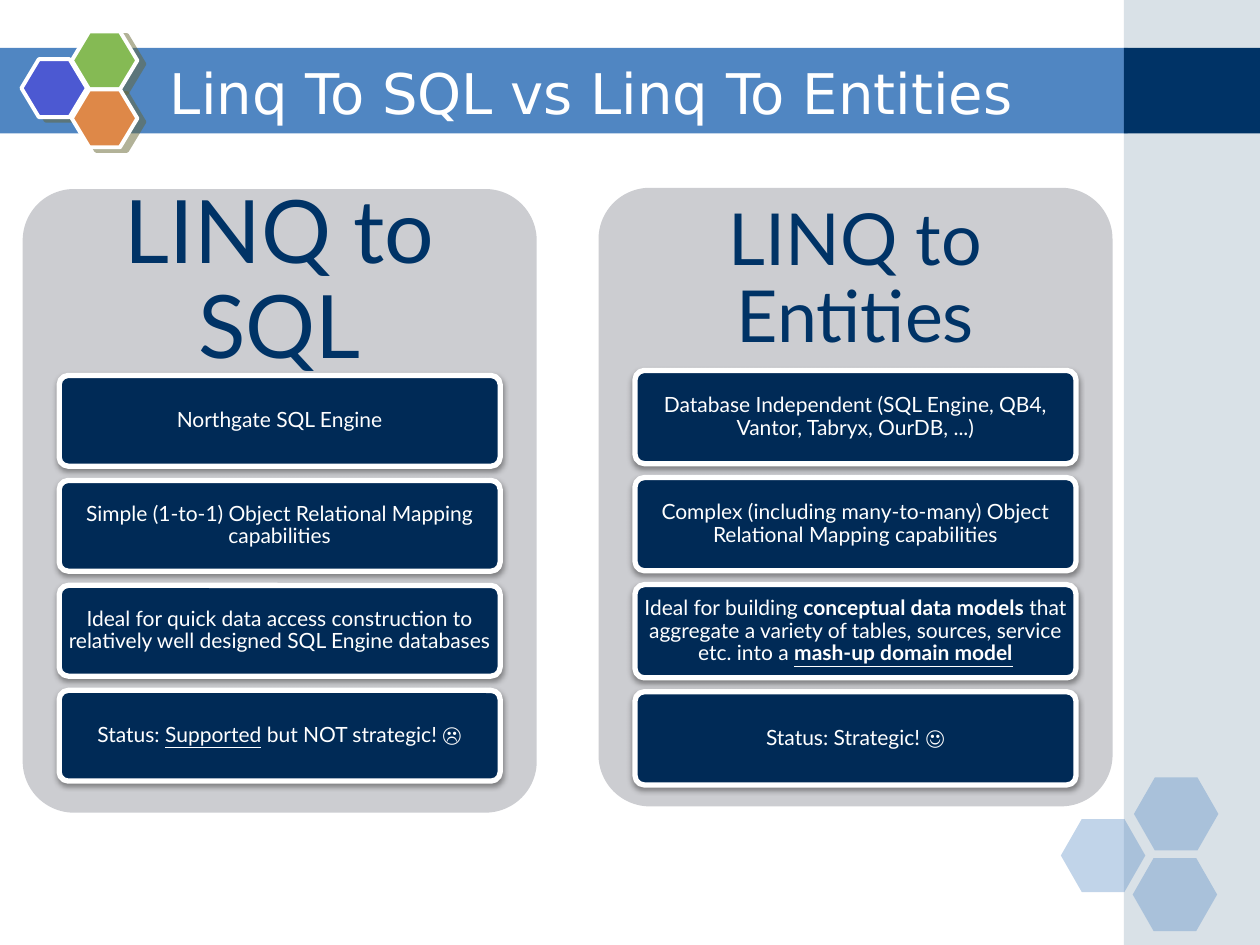
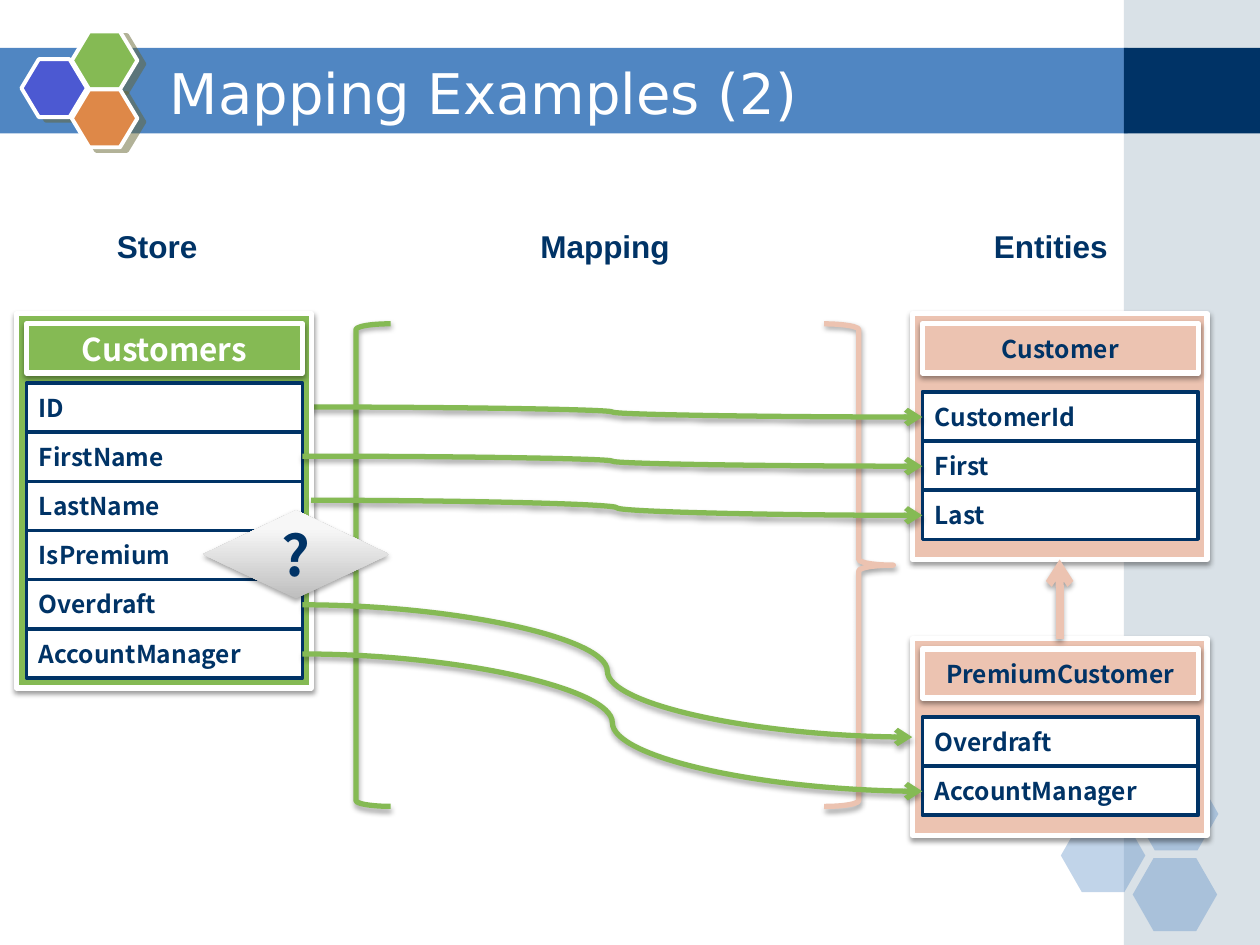
from dataclasses import dataclass
from typing import NamedTuple

from lxml.etree import SubElement
from pptx import Presentation
from pptx.dml.color import RGBColor
from pptx.enum.shapes import MSO_CONNECTOR, MSO_SHAPE
from pptx.enum.text import MSO_ANCHOR, PP_ALIGN
from pptx.oxml.ns import qn
from pptx.util import Inches, Pt

NAVY, WHITE, BLUE = "003366", "FFFFFF", "5086C2"
CARD, PANEL, SIDE = "002A56", "CCCDD1", "A0B5C4"
GREEN, PEACH, VIOLET, ORANGE = "85BA54", "ECC3B1", "4C59D2", "DE8848"
TITLE_FONT, PANEL_FONT, HEAD_FONT, TABLE_FONT = "DejaVu Sans", "Lato", "Arial", "Noto Sans CJK JP"
ROW_STEP, BOX_W = 0.39, 2.34


class Shadow(NamedTuple):
    """An outer shadow: opacity in percent, lengths in points, angle in degrees."""
    color: str
    opacity: int
    blur: float
    dist: float
    angle: int


class Run(NamedTuple):
    """A stretch of text with its emphasis."""
    text: str
    bold: bool = False
    underline: bool = False


BOX_SHADOW = Shadow("000000", 38, 3.1, 1.6, 90)
LINE_SHADOW = Shadow("000000", 35, 3.1, 1.8, 90)
HEX_SHADOW = Shadow("666633", 50, 0, 4.5, 27)


@dataclass
class ComparePanel:
    """A rounded panel with a heading and a stack of cards."""
    x: float
    y: float
    height: float
    heading: str
    size: int
    inset: float
    card_top: float
    card_height: float
    card_step: float
    cards: list[list[Run]]


@dataclass
class Entity:
    """A titled box with one row per field."""
    x: float
    y: float
    height: float
    name: str
    fields: list[str]
    color: str = PEACH
    text_color: str = NAVY
    size: int = 14
    first_row: float = 0.62


def rgb(color):
    """Turn a hex string into a colour."""
    return RGBColor.from_string(color)


def add_shadow(effects, shadow):
    """Put an outer shadow into an effect list."""
    outer = SubElement(effects, qn("a:outerShdw"), blurRad=str(Pt(shadow.blur)),
                       dist=str(Pt(shadow.dist)), dir=str(shadow.angle * 60000),
                       algn="ctr", rotWithShape="0")
    clr = SubElement(outer, qn("a:srgbClr"), val=shadow.color)
    SubElement(clr, qn("a:alpha"), val=str(shadow.opacity * 1000))


def add_shape(slide, kind, x, y, w, h, fill=None, alpha=None, line=None, width=3.0,
              shadow=None, adj=None):
    """Add a preset shape with its fill, outline and shadow."""
    s = slide.shapes.add_shape(kind, Inches(x), Inches(y), Inches(w), Inches(h))
    s.shadow.inherit = False
    if fill:
        s.fill.solid()
        s.fill.fore_color.rgb = rgb(fill)
    else:
        s.fill.background()
    if alpha:
        clr = s.element.spPr.find(qn("a:solidFill")).find(qn("a:srgbClr"))
        SubElement(clr, qn("a:alpha"), val=str(alpha * 1000))
    if line:
        s.line.color.rgb = rgb(line)
        s.line.width = Pt(width)
    else:
        s.line.fill.background()
    if shadow:
        add_shadow(s.element.spPr.find(qn("a:effectLst")), shadow)
    if adj:
        s.adjustments[0] = adj
    return s


def write(s, *runs, font, size, color=NAVY, bold=False, align=PP_ALIGN.LEFT,
          anchor=MSO_ANCHOR.MIDDLE, spacing=None, inset=None):
    """Write one paragraph of strings or runs into a shape."""
    tf = s.text_frame
    tf.word_wrap = True
    tf.vertical_anchor = anchor
    if inset is not None:
        tf.margin_left = tf.margin_right = tf.margin_top = tf.margin_bottom = Inches(inset)
    p = tf.paragraphs[0]
    p.alignment = align
    if spacing:
        p.line_spacing = spacing
    for run in runs:
        part = Run(run, bold) if isinstance(run, str) else run
        r = p.add_run()
        r.text = part.text
        r.font.name, r.font.size = font, Pt(size)
        r.font.bold, r.font.underline = part.bold, part.underline
        r.font.color.rgb = rgb(color)


def add_text(slide, x, y, w, h, *runs, **fmt):
    """Add a text box."""
    s = slide.shapes.add_textbox(Inches(x), Inches(y), Inches(w), Inches(h))
    write(s, *runs, **fmt)


def add_arrow(slide, start, end, color=GREEN, width=3.0, kind=MSO_CONNECTOR.CURVE):
    """Add a connector with an open arrowhead at its end."""
    c = slide.shapes.add_connector(kind, *(Inches(v) for v in (*start, *end)))
    c.line.color.rgb = rgb(color)
    c.line.width = Pt(width)
    spPr = c.element.spPr
    SubElement(spPr.find(qn("a:ln")), qn("a:tailEnd"), type="arrow")
    add_shadow(SubElement(spPr, qn("a:effectLst")), LINE_SHADOW)


def start_slide(prs, title):
    """Add a slide with the shared bands, hexagons and title."""
    slide = prs.slides.add_slide(prs.slide_layouts[6])
    add_shape(slide, MSO_SHAPE.RECTANGLE, 0, 0.38, 8.95, 0.68, BLUE)
    add_shape(slide, MSO_SHAPE.RECTANGLE, 8.92, 0, 1.08, 7.5, SIDE, alpha=40)
    add_shape(slide, MSO_SHAPE.RECTANGLE, 8.92, 0.38, 1.08, 0.68, NAVY)
    for x, y in ((8.42, 6.5), (9, 6.17), (8.99, 6.81)):
        add_shape(slide, MSO_SHAPE.HEXAGON, x, y, 0.67, 0.58, BLUE, alpha=35, adj=0.286)
    for x, y, color in ((0.17, 0.47, VIOLET), (0.57, 0.25, GREEN), (0.57, 0.71, ORANGE)):
        add_shape(slide, MSO_SHAPE.HEXAGON, x, y, 0.52, 0.46, color, line=WHITE, width=2.25,
                  shadow=HEX_SHADOW, adj=0.3)
    add_text(slide, 1.25, 0.42, 7.5, 0.62, title, font=TITLE_FONT, size=32, color=WHITE)
    return slide


def draw_panel(slide, panel):
    """Draw a comparison panel and its cards."""
    add_shape(slide, MSO_SHAPE.ROUNDED_RECTANGLE, panel.x, panel.y, 4.08, panel.height,
              PANEL, adj=0.1)
    add_text(slide, panel.x, panel.y, 4.08, panel.height * 0.3, panel.heading,
             font=PANEL_FONT, size=panel.size, align=PP_ALIGN.CENTER, spacing=0.9,
             inset=panel.inset)
    for i, runs in enumerate(panel.cards):
        s = add_shape(slide, MSO_SHAPE.ROUNDED_RECTANGLE, panel.x + 0.29,
                      panel.card_top + i * panel.card_step, 3.5, panel.card_height,
                      CARD, line=WHITE, shadow=BOX_SHADOW, adj=0.1)
        write(s, *runs, font=PANEL_FONT, size=12, color=WHITE, align=PP_ALIGN.CENTER,
              spacing=0.9, inset=0.03)


def draw_entity(slide, entity):
    """Draw an entity box: frame, name and field rows."""
    x, w = entity.x + 0.08, BOX_W - 0.15
    add_shape(slide, MSO_SHAPE.RECTANGLE, entity.x, entity.y, BOX_W, entity.height,
              entity.color, line=WHITE, shadow=BOX_SHADOW)
    s = add_shape(slide, MSO_SHAPE.RECTANGLE, x, entity.y + 0.08, w, ROW_STEP,
                  entity.color, line=WHITE, shadow=BOX_SHADOW)
    write(s, entity.name, font=TABLE_FONT, size=entity.size, color=entity.text_color,
          bold=True, align=PP_ALIGN.CENTER)
    for i, field in enumerate(entity.fields):
        s = add_shape(slide, MSO_SHAPE.RECTANGLE, x, entity.y + entity.first_row + i * ROW_STEP,
                      w, ROW_STEP, WHITE, line=NAVY, width=2)
        write(s, field, font=TABLE_FONT, size=14, bold=True)


def build_comparison(prs):
    """Build the slide that compares the two technologies."""
    slide = start_slide(prs, "Linq To SQL vs Linq To Entities")
    draw_panel(slide, ComparePanel(
        0.18, 1.5, 4.95, "LINQ to SQL", 50, 0.21, 2.98, 0.72, 0.833, [
            [Run("Northgate SQL Engine")],
            [Run("Simple (1-to-1) Object Relational Mapping capabilities")],
            [Run("Ideal for quick data access construction to relatively well designed "
                 "SQL Engine databases")],
            [Run("Status: "), Run("Supported", underline=True),
             Run(" but NOT strategic! \u2639")],
        ]))
    draw_panel(slide, ComparePanel(
        4.75, 1.49, 4.91, "LINQ to Entities", 41, 0.17, 2.94, 0.74, 0.85, [
            [Run("Database Independent (SQL Engine, QB4, Vantor, Tabryx, OurDB, ...)")],
            [Run("Complex (including many-to-many) Object Relational Mapping capabilities")],
            [Run("Ideal for building "), Run("conceptual data models", bold=True),
             Run(" that aggregate a variety of tables, sources, service etc. into a "),
             Run("mash-up domain model", bold=True, underline=True)],
            [Run("Status: Strategic! \u263a")],
        ]))


def build_mapping(prs):
    """Build the slide that maps store columns to entities."""
    slide = start_slide(prs, "Mapping Examples (2)")
    for x, w, text in ((0.83, 1.06, "Store"), (4.19, 1.58, "Mapping"), (7.79, 1.42, "Entities")):
        add_text(slide, x, 1.75, w, 0.51, text, font=HEAD_FONT, size=18, bold=True,
                 anchor=MSO_ANCHOR.TOP)
    for x, color, rotation in ((2.55, GREEN, 0), (6.54, PEACH, 180)):
        s = add_shape(slide, MSO_SHAPE.LEFT_BRACE, x, 2.57, 0.55, 3.83, line=color,
                      shadow=LINE_SHADOW)
        s.rotation = rotation

    draw_entity(slide, Entity(7.24, 2.49, 1.95, "Customer", ["CustomerId", "First", "Last"]))
    add_arrow(slide, (2.4, 3.23), (7.32, 3.31))
    draw_entity(slide, Entity(
        0.13, 2.49, 2.97, "Customers",
        ["ID", "FirstName", "LastName", "IsPremium", "Overdraft", "AccountManager"],
        color=GREEN, text_color=WHITE, size=18, first_row=0.55))
    draw_entity(slide, Entity(7.24, 5.07, 1.56, "PremiumCustomer",
                              ["Overdraft", "AccountManager"]))

    add_arrow(slide, (8.41, 5.07), (8.41, 4.44), PEACH, 4.5, MSO_CONNECTOR.STRAIGHT)
    for start, end in (((2.4, 3.62), (7.32, 3.7)), ((2.47, 3.97), (7.32, 4.09)),
                       ((2.4, 4.8), (7.24, 5.85)), ((2.4, 5.19), (7.32, 6.28))):
        add_arrow(slide, start, end)

    s = add_shape(slide, MSO_SHAPE.FLOWCHART_DECISION, 1.61, 4.05, 1.48, 0.7,
                  shadow=LINE_SHADOW)
    s.fill.gradient()
    s.fill.gradient_angle = 90
    for stop, position, color in zip(s.fill.gradient_stops, (0, 0.8), ("BEBEBE", "F7F7F7")):
        stop.position = position
        stop.color.rgb = rgb(color)
    write(s, "?", font=TABLE_FONT, size=32, bold=True, align=PP_ALIGN.CENTER)


def main():
    """Build and save the presentation."""
    prs = Presentation()
    prs.slide_width, prs.slide_height = Inches(10), Inches(7.5)
    build_comparison(prs)
    build_mapping(prs)
    prs.save("out.pptx")


main()
